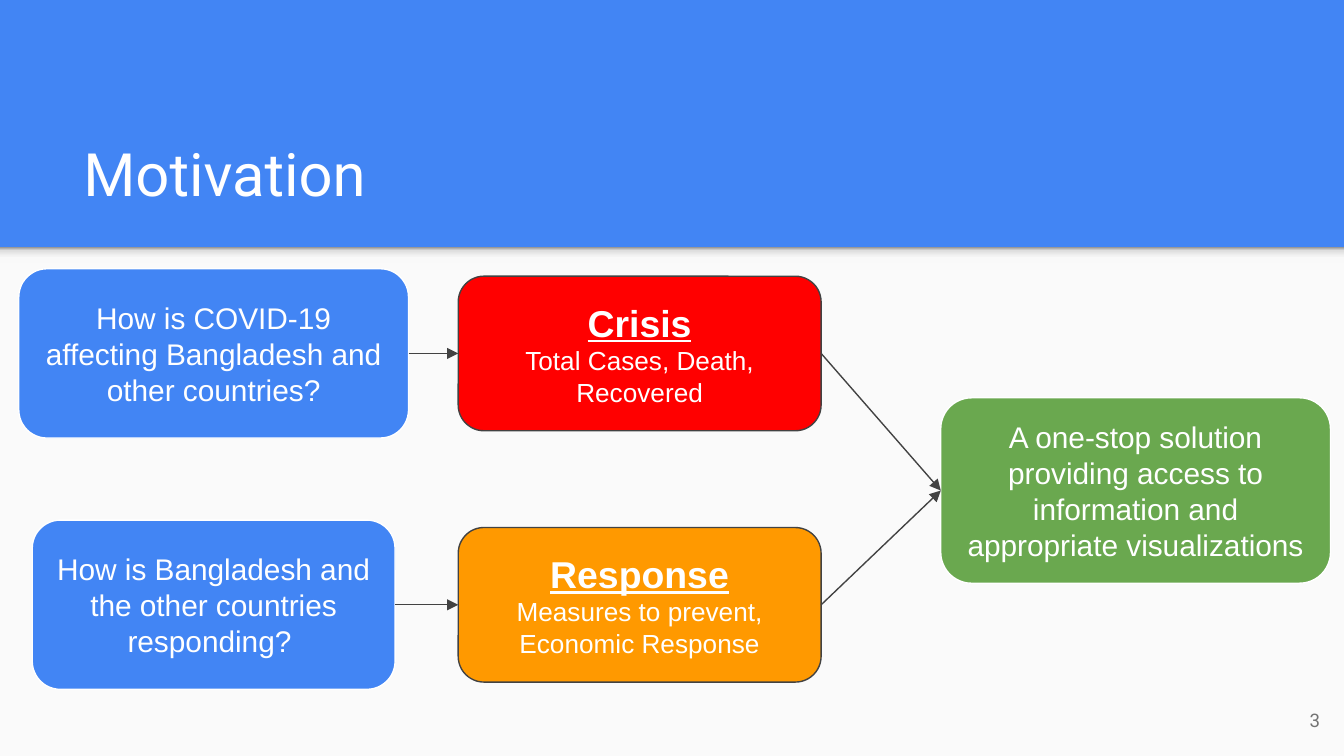
from dataclasses import dataclass

from lxml import etree
from pptx import Presentation
from pptx import util as u
from pptx.dml.color import RGBColor
from pptx.enum import shapes, text
from pptx.oxml import ns


@dataclass(frozen=True)
class Theme:
    blue: str = "4285F4"
    red: str = "FF0000"
    orange: str = "FF9900"
    green: str = "6AA84F"
    white: str = "FFFFFF"
    paper: str = "FAFAFA"
    ink: str = "424242"
    grey: str = "737373"
    edge: tuple = ((0, "F9F9F9"), (36, "F9F9F9"), (80, "DEDEDE"), (100, "999999"))
    heading_font: str = "Roboto"
    body_font: str = "Arial"
    title: int = 32
    topic: int = 20
    body: int = 16
    detail: int = 14
    number: int = 10
    line: float = 0.75


@dataclass(frozen=True)
class Line:
    words: str
    size: int
    bold: bool = False
    underline: bool = False


@dataclass(frozen=True)
class Box:
    left: float
    middle: float
    width: float
    height: float
    fill: str
    outline: str
    lines: tuple


THEME = Theme()
SLIDE_WIDTH = 10
SLIDE_HEIGHT = SLIDE_WIDTH * 9 / 16
TOP_ROW, BOTTOM_ROW = 2.63, 4.5
BAND_HEIGHT = 1.84


def rgb(value: str) -> RGBColor:
    return RGBColor.from_string(value)


def set_frame(frame, anchor) -> None:
    settings = {
        "word_wrap": True,
        "auto_size": text.MSO_AUTO_SIZE.NONE,
        "vertical_anchor": anchor,
        **{f"margin_{side}": u.Inches(0.1) for side in ("left", "right", "top", "bottom")},
    }
    for key, value in settings.items():
        setattr(frame, key, value)


def write(paragraph, line: Line, font: str, color: str, align) -> None:
    paragraph.alignment = align
    run = paragraph.add_run()
    run.text = line.words
    settings = {
        "name": font,
        "size": u.Pt(line.size),
        "bold": line.bold,
        "underline": line.underline,
    }
    for key, value in settings.items():
        setattr(run.font, key, value)
    run.font.color.rgb = rgb(color)


def add_panel(slide, top: float, height: float):
    panel = slide.shapes.add_shape(
        shapes.MSO_SHAPE.RECTANGLE,
        0, u.Inches(top), u.Inches(SLIDE_WIDTH), u.Inches(height),
    )
    panel.shadow.inherit = False
    panel.line.fill.background()
    return panel


def add_background(slide) -> None:
    slide.background.fill.solid()
    slide.background.fill.fore_color.rgb = rgb(THEME.blue)
    paper = add_panel(slide, BAND_HEIGHT, SLIDE_HEIGHT - BAND_HEIGHT)
    paper.fill.solid()
    paper.fill.fore_color.rgb = rgb(THEME.paper)
    edge = add_panel(slide, BAND_HEIGHT, 0.12)
    edge.fill.gradient()
    edge.fill.gradient_angle = 90
    stops = edge.element.spPr.find(".//" + ns.qn("a:gsLst"))
    for stop in list(stops):
        stops.remove(stop)
    for position, color in THEME.edge:
        stop = etree.SubElement(stops, ns.qn("a:gs"), pos=str(position * 1000))
        etree.SubElement(stop, ns.qn("a:srgbClr"), val=color)


def add_title(slide, words: str) -> None:
    title = slide.shapes.title
    place = {"left": 0.52, "top": 0.81, "width": 8.99, "height": 0.84}
    for key, value in place.items():
        setattr(title, key, u.Inches(value))
    set_frame(title.text_frame, text.MSO_ANCHOR.BOTTOM)
    write(title.text_frame.paragraphs[0], Line(words, THEME.title),
          THEME.heading_font, THEME.white, text.PP_ALIGN.LEFT)


def add_page_number(slide, words: str) -> None:
    number = slide.shapes.add_textbox(
        u.Inches(9.32), u.Inches(5.14), u.Inches(0.6), u.Inches(0.43))
    set_frame(number.text_frame, text.MSO_ANCHOR.MIDDLE)
    write(number.text_frame.paragraphs[0], Line(words, THEME.number),
          THEME.heading_font, THEME.grey, text.PP_ALIGN.RIGHT)


def add_box(slide, box: Box):
    shape = slide.shapes.add_shape(
        shapes.MSO_SHAPE.ROUNDED_RECTANGLE,
        u.Inches(box.left), u.Inches(box.middle - box.height / 2),
        u.Inches(box.width), u.Inches(box.height),
    )
    shape.shadow.inherit = False
    shape.fill.solid()
    shape.fill.fore_color.rgb = rgb(box.fill)
    shape.line.color.rgb = rgb(box.outline)
    shape.line.width = u.Pt(THEME.line)
    frame = shape.text_frame
    set_frame(frame, text.MSO_ANCHOR.MIDDLE)
    for index, line in enumerate(box.lines):
        paragraph = frame.add_paragraph() if index else frame.paragraphs[0]
        write(paragraph, line, THEME.body_font, THEME.white, text.PP_ALIGN.CENTER)
    return shape


def add_arrow(slide, source, target) -> None:
    arrow = slide.shapes.add_connector(shapes.MSO_CONNECTOR.STRAIGHT, 0, 0, 0, 0)
    arrow.begin_connect(source, 3)
    arrow.end_connect(target, 1)
    arrow.line.color.rgb = rgb(THEME.ink)
    arrow.line.width = u.Pt(THEME.line)
    properties = arrow.element.spPr
    etree.SubElement(properties.get_or_add_ln(), ns.qn("a:tailEnd"), type="triangle")
    etree.SubElement(properties, ns.qn("a:effectLst"))


def statement(left: float, middle: float, width: float, height: float,
              fill: str, words: str) -> Box:
    return Box(left, middle, width, height, fill, THEME.white, (Line(words, THEME.body),))


def topic(middle: float, fill: str, heading: str, detail: str) -> Box:
    lines = (Line(heading, THEME.topic, True, True), Line(detail, THEME.detail))
    return Box(3.41, middle, 2.7, 1.15, fill, THEME.ink, lines)


def main() -> None:
    deck = Presentation()
    deck.slide_width, deck.slide_height = u.Inches(SLIDE_WIDTH), u.Inches(SLIDE_HEIGHT)
    slide = deck.slides.add_slide(deck.slide_layouts[5])
    add_background(slide)
    add_title(slide, "Motivation")
    add_page_number(slide, "3")

    affecting = add_box(slide, statement(
        0.14, TOP_ROW, 2.9, 1.26, THEME.blue,
        "How is COVID-19 affecting Bangladesh and other countries?"))
    crisis = add_box(slide, topic(
        TOP_ROW, THEME.red, "Crisis", "Total Cases, Death, Recovered"))
    response = add_box(slide, topic(
        BOTTOM_ROW, THEME.orange, "Response", "Measures to prevent, Economic Response"))
    responding = add_box(slide, statement(
        0.24, BOTTOM_ROW, 2.7, 1.26, THEME.blue,
        "How is Bangladesh and the other countries responding? "))
    solution = add_box(slide, statement(
        7, 3.65, 2.9, 1.38, THEME.green,
        "A one-stop solution providing access to information and appropriate visualizations"))

    for source, target in ((affecting, crisis), (responding, response),
                           (crisis, solution), (response, solution)):
        add_arrow(slide, source, target)
    deck.save("out.pptx")


if __name__ == "__main__":
    main()
